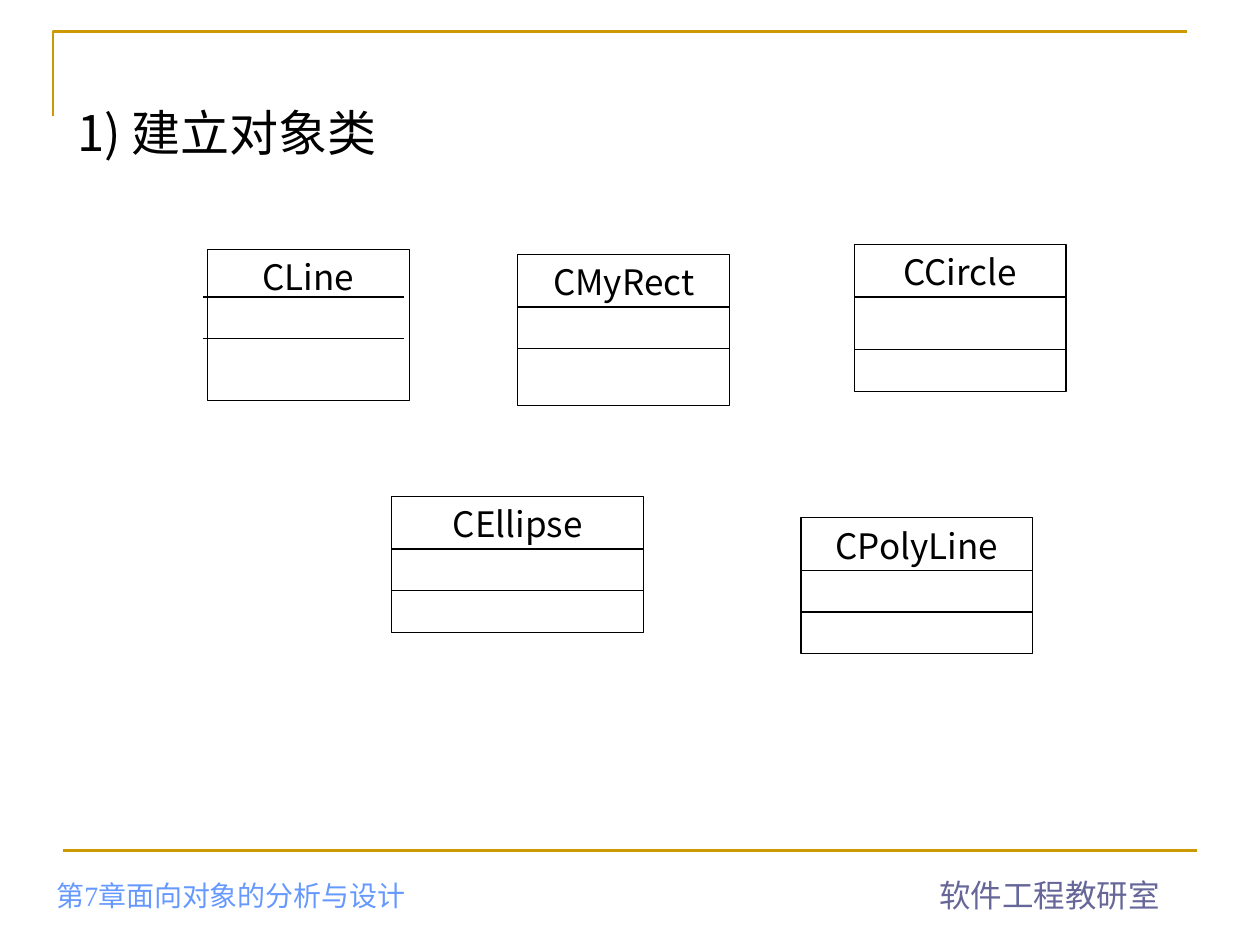
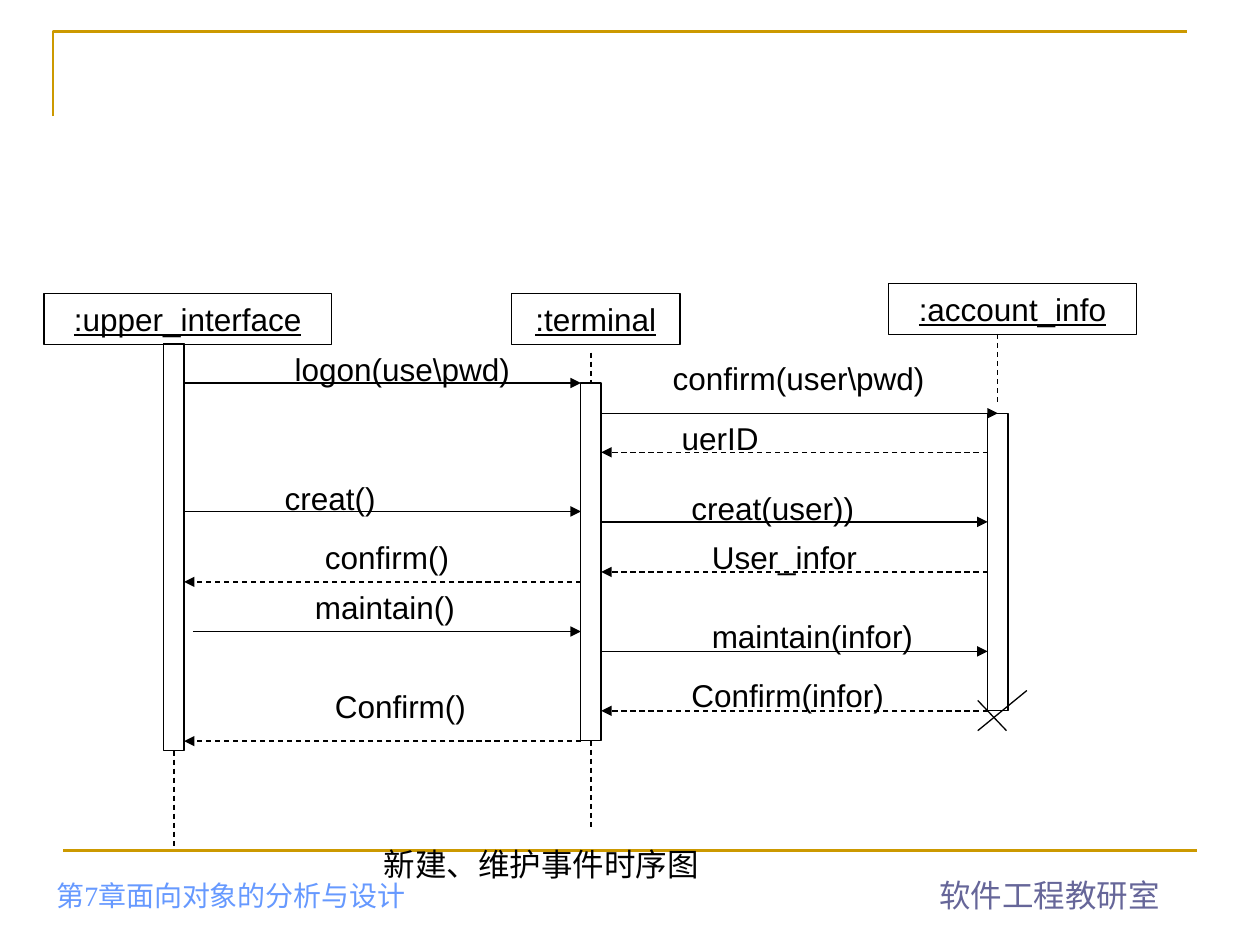
from lxml.etree import SubElement
from pptx import Presentation
from pptx.dml.color import RGBColor
from pptx.enum.dml import MSO_LINE
from pptx.enum.shapes import MSO_CONNECTOR, MSO_SHAPE
from pptx.enum.text import MSO_ANCHOR, MSO_AUTO_SIZE, PP_ALIGN
from pptx.oxml.ns import qn
from pptx.util import Cm, Pt

# All positions and lengths are in centimetres.
COLORS = {"gold": "CC9900", "black": "000000", "white": "FFFFFF",
          "department": "666699", "chapter": "6699FF"}
CJK_FONT = "Noto Sans CJK SC"
TITLE_ONLY, BLANK = 5, 6
TOP, BOTTOM = 0, 2

# Shared frame and footers
CORNER = [(1.07, 2.34), (1.07, 0.64), (23.93, 0.64)]
FOOTER_RULE = ((1.27, 17.15), (24.13, 17.15))
FOOTERS = [
    ("软件工程教研室", (18.69, 17.53, 4.95, 1.02),
     dict(size=18, color="department", wrap=False)),
    ("第7章面向对象的分析与设计", (0.89, 17.73, 10.41, 0.79),
     dict(size=16, color="chapter", font="Times New Roman", anchor=MSO_ANCHOR.BOTTOM)),
]

# Slide 1: name, box, depths of the two dividers, shift of the dividers
TITLE = ("1) 建立对象类", (1.3, 1.93, 11.81, 1.45))
CLASSES = [
    ("CLine", (4.19, 5.03, 4.06, 3.05), (0.96, 1.8), -0.1),
    ("CMyRect", (10.44, 5.13, 4.27, 3.05), (1.06, 1.9), 0),
    ("CCircle", (17.22, 4.93, 4.27, 2.97), (1.06, 2.11), 0),
    ("CEllipse", (7.9, 10.01, 5.08, 2.74), (1.06, 1.9), 0),
    ("CPolyLine", (16.15, 10.44, 4.67, 2.74), (1.06, 1.9), 0),
]

# Slide 2: participants, with the lifeline above and below each activation bar
LABEL_HEIGHT = 1.02
BAR_WIDTH = 0.41
PARTICIPANTS = [
    dict(name=":upper_interface", head=(0.89, 5.92, 5.79),
         bar=(3.3, 6.93, 8.2), above=None, below=17.12),
    dict(name=":terminal", head=(10.31, 5.92, 3.4),
         bar=(11.71, 7.72, 7.21), above=(7.11, 7.72), below=16.74),
    dict(name=":account_info", head=(17.91, 5.72, 5.0),
         bar=(19.91, 8.33, 5.99), above=(6.73, 8.13), below=None),
]
# Sender, receiver, arrow height, text, text left, top and width
MESSAGES = [
    (0, 1, 7.72, "logon(use\\pwd)", 5.69, 6.93, 5.0),
    (1, 2, 8.33, "confirm(user\\pwd)", 13.31, 7.11, 6.4),
    (2, 1, 9.12, "uerID", 13.49, 8.33, 5.21),
    (0, 1, 10.31, "creat()", 5.49, 9.53, 4.8),
    (1, 2, 10.52, "creat(user))", 13.69, 9.73, 5.21),
    (2, 1, 11.53, "User_infor", 14.1, 10.72, 3.99),
    (1, 0, 11.73, "confirm()", 6.3, 10.72, 4.01),
    (0, 1, 12.73, "maintain()", 6.1, 11.73, 3.61),
    (1, 2, 13.13, "maintain(infor)", 14.1, 12.32, 5.41),
    (2, 1, 14.33, "Confirm(infor)", 13.69, 13.51, 5.59),
    (1, 0, 14.94, "Confirm()", 6.5, 13.72, 3.4),
]
START_GAPS = {"maintain()": 0.18}
DESTRUCTION = [((20.7, 13.92), (19.71, 14.73)), ((19.71, 14.12), (20.29, 14.73))]
CAPTION = ("新建、维护事件时序图", (7.49, 16.92, 10.59, LABEL_HEIGHT))


def rgb(name):
    return RGBColor.from_string(COLORS[name])


def lengths(values):
    return [Cm(value) for value in values]


def write(shape, text, size=18, color="black", font="Arial", align=PP_ALIGN.LEFT,
          anchor=MSO_ANCHOR.TOP, underline=None, wrap=True):
    frame = shape.text_frame
    frame.word_wrap = wrap
    frame.auto_size = MSO_AUTO_SIZE.NONE
    frame.vertical_anchor = anchor
    paragraph = frame.paragraphs[0]
    paragraph.alignment = align
    run = paragraph.add_run()
    run.text = text
    run.font.size = Pt(size)
    run.font.color.rgb = rgb(color)
    run.font.underline = underline
    run.font.name = font
    SubElement(run.font._element, qn("a:ea"), typeface=CJK_FONT)


def add_label(slide, text, box, **text_format):
    write(slide.shapes.add_textbox(*lengths(box)), text, **text_format)


def add_box(slide, box, filled=False):
    shape = slide.shapes.add_shape(MSO_SHAPE.RECTANGLE, *lengths(box))
    shape.shadow.inherit = False
    if filled:
        shape.fill.solid()
        shape.fill.fore_color.rgb = rgb("white")
    else:
        shape.fill.background()
    shape.line.color.rgb = rgb("black")
    shape.line.width = Pt(0.75)
    return shape


def add_line(slide, start, end, color="black", width=0.75, dashed=False, arrow=False):
    line = slide.shapes.add_connector(MSO_CONNECTOR.STRAIGHT, *lengths(start + end))
    line.line.color.rgb = rgb(color)
    line.line.width = Pt(width)
    if dashed:
        line.line.dash_style = MSO_LINE.DASH
    if arrow:
        SubElement(line.line._get_or_add_ln(), qn("a:tailEnd"), type="triangle")
    SubElement(line._element.spPr, qn("a:effectLst"))
    return line


def add_framed_slide(presentation, layout):
    slide = presentation.slides.add_slide(presentation.slide_layouts[layout])
    start, *others = [lengths(point) for point in CORNER]
    builder = slide.shapes.build_freeform(*start)
    builder.add_line_segments(others, close=False)
    corner = builder.convert_to_shape()
    corner.shadow.inherit = False
    corner.fill.background()
    corner.line.color.rgb = rgb("gold")
    corner.line.width = Pt(1.5)
    add_line(slide, *FOOTER_RULE, color="gold", width=1.5)
    for text, box, text_format in FOOTERS:
        add_label(slide, text, box, **text_format)
    return slide


def build_class_slide(presentation):
    slide = add_framed_slide(presentation, TITLE_ONLY)
    text, box = TITLE
    title = slide.shapes.title
    title.left, title.top, title.width, title.height = lengths(box)
    write(title, text, size=28, font=CJK_FONT)
    for name, box, depths, shift in CLASSES:
        write(add_box(slide, box, filled=True), name, size=20, font=CJK_FONT,
              align=PP_ALIGN.CENTER)
        left, top, width, _ = box
        for depth in depths:
            add_line(slide, (left + shift, top + depth),
                     (left + shift + width, top + depth))


def add_participant(slide, participant):
    """Draw the head, activation bar and lifeline; return the bar."""
    head = add_box(slide, (*participant["head"], LABEL_HEIGHT))
    write(head, participant["name"], align=PP_ALIGN.CENTER, underline=True)
    left, top, height = participant["bar"]
    bar = add_box(slide, (left, top, BAR_WIDTH, height))
    center = left + BAR_WIDTH / 2
    if participant["above"]:
        start, end = participant["above"]
        line = add_line(slide, (center, start), (center, end), dashed=True)
        if end == top:
            line.end_connect(bar, TOP)
    if participant["below"]:
        line = add_line(slide, (center, top + height),
                        (center, participant["below"]), dashed=True)
        line.begin_connect(bar, BOTTOM)
    return bar


def add_message(slide, bars, sender, receiver, height, text, left, top, width):
    is_reply = sender > receiver
    sender_left = PARTICIPANTS[sender]["bar"][0]
    receiver_left, receiver_top, _ = PARTICIPANTS[receiver]["bar"]
    start = sender_left + (0 if is_reply else BAR_WIDTH) + START_GAPS.get(text, 0)
    end = receiver_left + (BAR_WIDTH if is_reply else 0)
    line = add_line(slide, (start, height), (end, height), dashed=is_reply, arrow=True)
    # The call that activates the account bar meets the middle of its top
    if receiver == 2 and height == receiver_top:
        line.end_connect(bars[receiver], TOP)
    add_label(slide, text, (left, top, width, LABEL_HEIGHT))


def build_sequence_slide(presentation):
    slide = add_framed_slide(presentation, BLANK)
    bars = [add_participant(slide, participant) for participant in PARTICIPANTS]
    for message in MESSAGES:
        add_message(slide, bars, *message)
    for start, end in DESTRUCTION:
        add_line(slide, start, end)
    add_label(slide, *CAPTION)


def main():
    presentation = Presentation()
    presentation.slide_width, presentation.slide_height = Cm(25.4), Cm(19.05)
    build_class_slide(presentation)
    build_sequence_slide(presentation)
    presentation.save("out.pptx")


if __name__ == "__main__":
    main()
